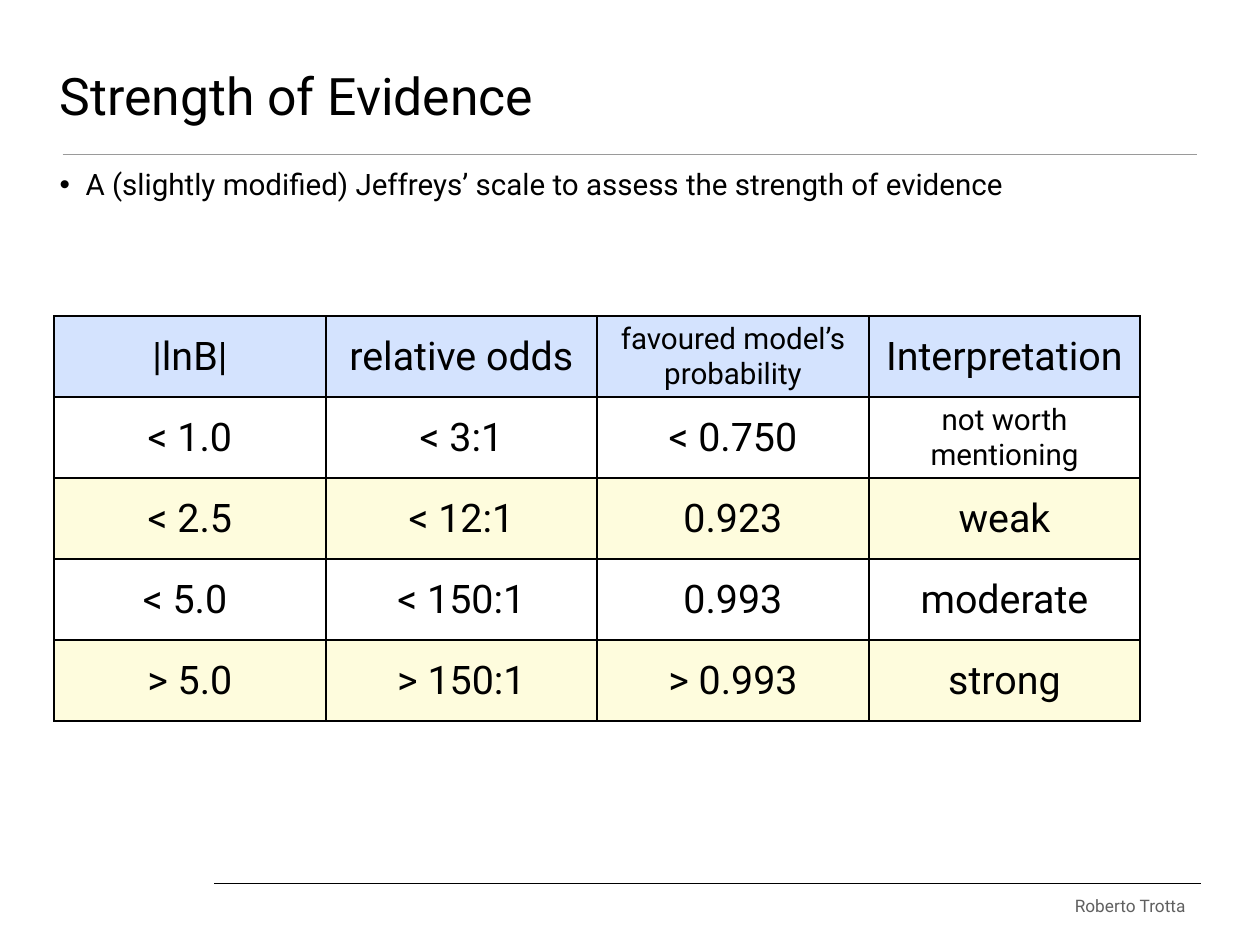
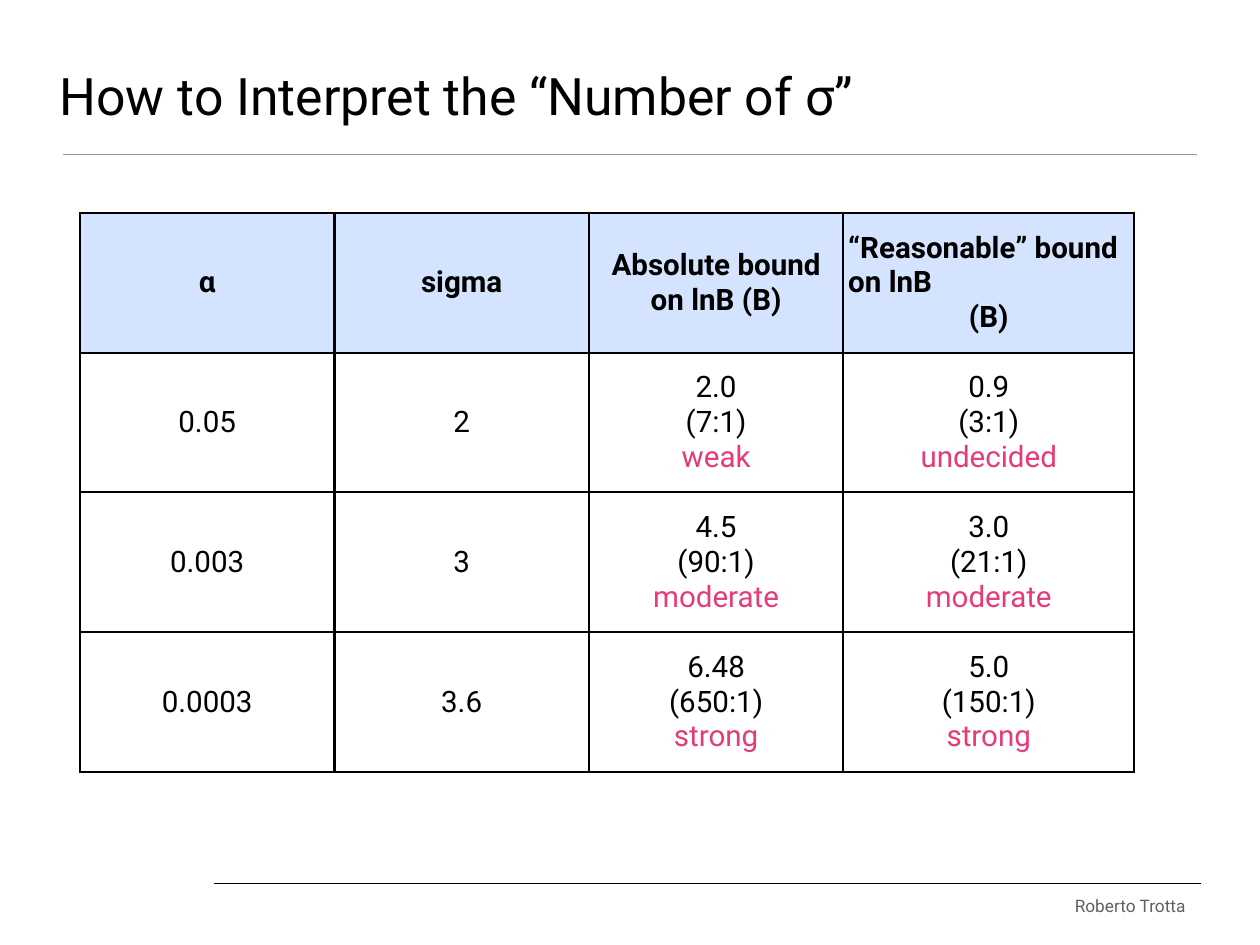
from lxml import etree
from pptx import Presentation
from pptx.dml.color import RGBColor
from pptx.enum import shapes, text as txt
from pptx.oxml import ns
from pptx.util import Pt

BLACK = RGBColor(0x00, 0x00, 0x00)
RULE_GREY = RGBColor(0x9A, 0x9A, 0x9A)
FOOTER_GREY = RGBColor(0x60, 0x60, 0x60)
HEADER_BLUE = RGBColor(0xD4, 0xE3, 0xFE)
BAND_YELLOW = RGBColor(0xFE, 0xFC, 0xDD)
VERDICT_PINK = RGBColor(0xE6, 0x3B, 0x7A)
FONT = "Roboto"
INSET = Pt(4)
LEFT, CENTER = txt.PP_ALIGN.LEFT, txt.PP_ALIGN.CENTER
MIDDLE, BOTTOM, TOP = txt.MSO_ANCHOR.MIDDLE, txt.MSO_ANCHOR.BOTTOM, txt.MSO_ANCHOR.TOP
TITLE_ONLY, TITLE_AND_BODY = 5, 1


def add_element(parent, tag, **attributes):
    return etree.SubElement(parent, ns.qn(tag), attributes)


def write_paragraph(frame, text, size=24, color=BLACK, bold=False, align=CENTER, bullet=None):
    para = frame.paragraphs[0]
    if para.runs:
        para = frame.add_paragraph()
    para.alignment = align
    para.space_before = Pt(0)
    if bullet:
        properties = para._p.get_or_add_pPr()
        properties.set("marL", str(Pt(21)))
        properties.set("indent", str(-Pt(21)))
        add_element(properties, "a:buChar", char=bullet)
    span = para.add_run()
    span.text = text
    span.font.name = FONT
    span.font.size = Pt(size)
    span.font.bold = bold
    span.font.color.rgb = color


class Deck:
    def __init__(self):
        self.deck = Presentation()
        self.deck.slide_width, self.deck.slide_height = Pt(1024), Pt(768)
        self.page = None

    def add_page(self, title, layout):
        self.page = self.deck.slides.add_slide(self.deck.slide_layouts[layout])
        self.add_rule(51, 973, 125.3, RULE_GREY, 1)
        self.add_rule(174, 976, 718, BLACK, 0.5)
        self.add_footer("Roberto Trotta")
        self.fill_placeholder(self.page.shapes.title, -4, 110, BOTTOM, title, size=42, align=LEFT)

    def add_rule(self, left, right, y, color, width):
        rule = self.page.shapes.add_connector(
            shapes.MSO_CONNECTOR.STRAIGHT, Pt(left), Pt(y), Pt(right), Pt(y))
        rule.line.color.rgb = color
        rule.line.width = Pt(width)
        add_element(rule._element.spPr, "a:effectLst")

    def add_footer(self, text):
        box = self.page.shapes.add_textbox(Pt(869), Pt(723), Pt(99), Pt(25))
        self.set_frame(box.text_frame, BOTTOM, wrap=False)
        write_paragraph(box.text_frame, text, size=14, color=FOOTER_GREY)

    def set_frame(self, frame, anchor, wrap=True):
        frame.auto_size = txt.MSO_AUTO_SIZE.NONE
        frame.word_wrap = wrap
        frame.vertical_anchor = anchor
        frame.margin_left = frame.margin_right = INSET
        frame.margin_top = frame.margin_bottom = INSET

    def fill_placeholder(self, box, top, height, anchor, text, **style):
        box.left, box.top, box.width, box.height = Pt(44.5), Pt(top), Pt(934), Pt(height)
        self.set_frame(box.text_frame, anchor)
        write_paragraph(box.text_frame, text, **style)

    def add_bullet(self, text):
        self.fill_placeholder(self.page.placeholders[1], 131, 517, TOP, text, align=LEFT, bullet="•")

    def add_table(self, left, top, widths, row_height, rows, size, bold_header=False, banded=False):
        frame = self.page.shapes.add_table(
            len(rows), len(widths), Pt(left), Pt(top), Pt(sum(widths)), Pt(row_height * len(rows)))
        table = frame.table
        table.first_row = table.horz_banding = False
        for column, width in zip(table.columns, widths):
            column.width = Pt(width)
        for index, row in enumerate(rows):
            table.rows[index].height = Pt(row_height)
            fill = HEADER_BLUE if index == 0 else BAND_YELLOW if banded and index % 2 == 0 else None
            for column, content in enumerate(row):
                cell = table.cell(index, column)
                self.format_cell(cell, fill)
                lines = [(content, {})] if isinstance(content, str) else content
                for line, style in lines:
                    defaults = {"size": size, "bold": bold_header and index == 0}
                    write_paragraph(cell.text_frame, line, **{**defaults, **style})

    def format_cell(self, cell, fill):
        cell.vertical_anchor = MIDDLE
        cell.margin_left = cell.margin_right = INSET
        cell.margin_top = cell.margin_bottom = INSET
        properties = cell._tc.get_or_add_tcPr()
        for side in ("a:lnL", "a:lnR", "a:lnT", "a:lnB"):
            border = add_element(properties, side, w=str(Pt(2)))
            add_element(add_element(border, "a:solidFill"), "a:srgbClr", val=str(BLACK))
        if fill is None:
            cell.fill.background()
        else:
            cell.fill.solid()
            cell.fill.fore_color.rgb = fill


def small(text):
    return [(text, {"size": 24})]


def bound(value, odds, verdict):
    return [(value, {}), (odds, {}), (verdict, {"color": VERDICT_PINK})]


def main():
    deck = Deck()

    deck.add_page("Strength of Evidence", TITLE_AND_BODY)
    deck.add_bullet("A (slightly modified) Jeffreys’ scale to assess the strength of evidence")
    evidence_scale = [
        ["|lnB|", "relative odds", small("favoured model’s probability"), "Interpretation"],
        ["< 1.0", "< 3:1", "< 0.750", small("not worth mentioning")],
        ["< 2.5", "< 12:1", "0.923", "weak"],
        ["< 5.0 ", "< 150:1", "0.993", "moderate"],
        ["> 5.0", "> 150:1", "> 0.993", "strong"],
    ]
    deck.add_table(44, 257, [220.7] * 4, 65.8, evidence_scale, size=32, banded=True)

    deck.add_page("How to Interpret the “Number of σ”", TITLE_ONLY)
    reasonable = [("“Reasonable” bound on lnB", {"align": LEFT}), ("(B)", {})]
    sigma_bounds = [
        ["α", "sigma", "Absolute bound on lnB (B)", reasonable],
        ["0.05", "2", bound("2.0", "(7:1)", "weak"), bound("0.9", "(3:1)", "undecided")],
        ["0.003", "3", bound("4.5", "(90:1)", "moderate"), bound("3.0", "(21:1)", "moderate")],
        ["0.0003", "3.6", bound("6.48", "(650:1)", "strong"), bound("5.0", "(150:1)", "strong")],
    ]
    deck.add_table(65, 173, [206.8] * 3 + [236.4], 113.6, sigma_bounds, size=24, bold_header=True)

    deck.deck.save("out.pptx")


if __name__ == "__main__":
    main()
